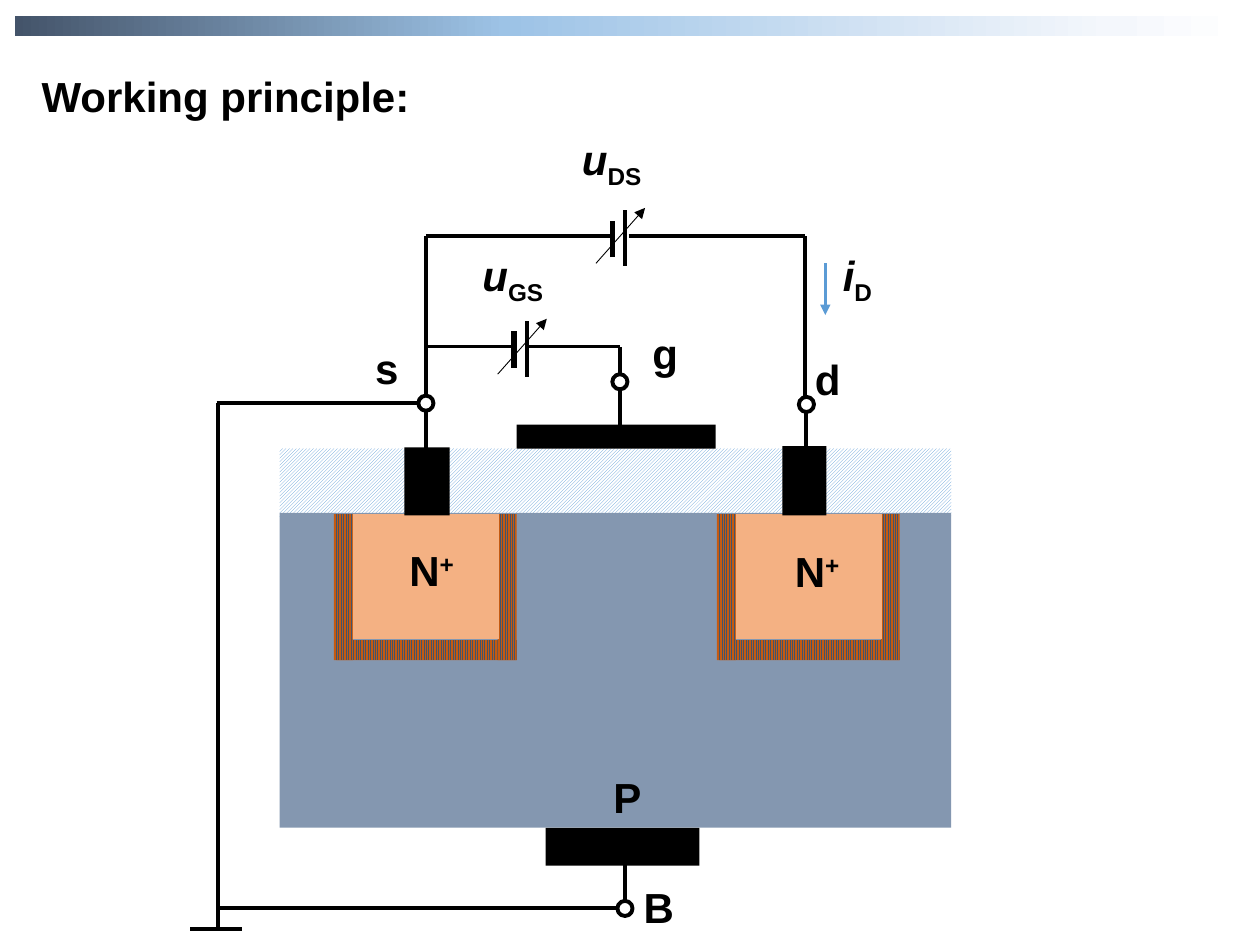
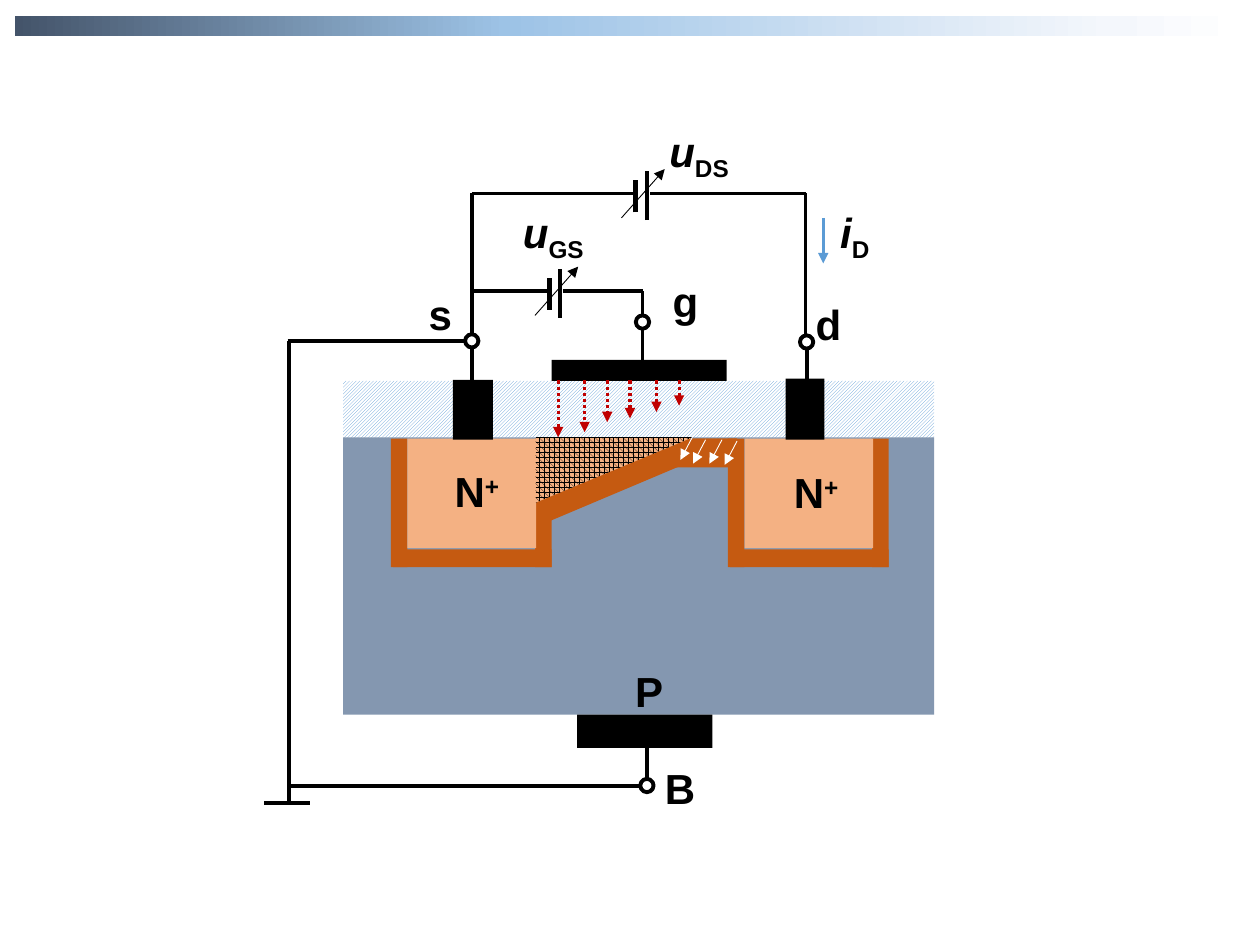
from collections import namedtuple

from lxml import etree
from pptx import Presentation
from pptx import util as u
from pptx.dml.color import RGBColor
from pptx.enum import dml, shapes, text
from pptx.oxml.ns import qn

Inches = u.Inches
BLACK = RGBColor(0x00, 0x00, 0x00)
WHITE = RGBColor(0xFF, 0xFF, 0xFF)
SLATE = RGBColor(0x44, 0x54, 0x6A)
SUBSTRATE = RGBColor(0x84, 0x97, 0xB0)
BLUE = RGBColor(0x5B, 0x9B, 0xD5)
DEPLETION = RGBColor(0xC5, 0x5A, 0x11)
N_WELL = RGBColor(0xF4, 0xB1, 0x83)
FIELD_RED = RGBColor(0xC0, 0x00, 0x00)
BAND_STOPS = [(0, SLATE), (40, RGBColor(0x9D, 0xC3, 0xE6)),
              (89, RGBColor(0xF4, 0xF7, 0xFC)), (100, WHITE)]
FONT = "Arial"

RECT = shapes.MSO_SHAPE.RECTANGLE
CIRCLE = shapes.MSO_SHAPE.OVAL
TRIANGLE = shapes.MSO_SHAPE.RIGHT_TRIANGLE

# Pattern fills: pattern, foreground, background
OXIDE = (dml.MSO_PATTERN.LIGHT_UPWARD_DIAGONAL, BLUE, WHITE)
STRIPED_DEPLETION = (dml.MSO_PATTERN.LIGHT_VERTICAL, SLATE, DEPLETION)
CHANNEL = (dml.MSO_PATTERN.SPHERE, BLACK, N_WELL)

# A frame scales and shifts drawing coordinates onto the slide
Frame = namedtuple("Frame", "scale dx dy")
PAGE = Frame(1, 0, 0)
SMALLER = Frame(0.88, 0.77, -0.11)


def block(slide, frame, kind, box, fill, outline=None):
    """Add a filled shape; a tuple as fill means a pattern."""
    x, y, w, h = box
    shape = slide.shapes.add_shape(
        kind, Inches(frame.scale * x + frame.dx), Inches(frame.scale * y + frame.dy),
        Inches(frame.scale * w), Inches(frame.scale * h))
    shape.shadow.inherit = False
    if isinstance(fill, tuple) and not isinstance(fill, RGBColor):
        shape.fill.patterned()
        shape.fill.pattern = fill[0]
        shape.fill.fore_color.rgb, shape.fill.back_color.rgb = fill[1:]
    else:
        shape.fill.solid()
        shape.fill.fore_color.rgb = fill
    if outline:
        shape.line.color.rgb = BLACK
        shape.line.width = u.Pt(outline)
    else:
        shape.line.fill.background()
    return shape


def wire(slide, frame, ends, width=2.25, color=BLACK, arrow=False, dotted=False):
    """Add a straight line, optionally dotted or with an arrowhead at its end."""
    x1, y1, x2, y2 = ends
    line = slide.shapes.add_connector(
        shapes.MSO_CONNECTOR.STRAIGHT,
        Inches(frame.scale * x1 + frame.dx), Inches(frame.scale * y1 + frame.dy),
        Inches(frame.scale * x2 + frame.dx), Inches(frame.scale * y2 + frame.dy))
    line.line.color.rgb = color
    line.line.width = u.Pt(width)
    if dotted:
        line.line.dash_style = dml.MSO_LINE.ROUND_DOT
    properties = line._element.spPr
    if arrow:
        etree.SubElement(properties.find(qn("a:ln")), qn("a:tailEnd"), type="triangle")
    etree.SubElement(properties, qn("a:effectLst"))


prs = Presentation()
prs.slide_width, prs.slide_height = Inches(10), Inches(7.5)
title_slide = prs.slides.add_slide(prs.slide_layouts[5])
channel_slide = prs.slides.add_slide(prs.slide_layouts[6])

title = title_slide.shapes.title
title.left, title.top = Inches(0.07), Inches(0.51)
title.width, title.height = Inches(3.44), Inches(0.5)
title.text_frame.text = "Working principle:"
title.text_frame.auto_size = text.MSO_AUTO_SIZE.NONE
title.text_frame.vertical_anchor = text.MSO_ANCHOR.TOP
heading = title.text_frame.paragraphs[0]
heading.alignment = text.PP_ALIGN.CENTER
heading.font.name, heading.font.size, heading.font.bold = FONT, u.Pt(24), True
heading.font.color.rgb = BLACK

CONTACTS = [(4.33, 6.57, 1.22, 0.3), (3.21, 3.55, 0.36, 0.54),
            (4.1, 3.37, 1.58, 0.19), (6.21, 3.54, 0.35, 0.55)]
LEADS = [(4.92, 3.4, 4.92, 3.09), (6.4, 3.6, 6.4, 3.25),
         (4.96, 7.17, 4.96, 6.74), (3.38, 3.6, 3.38, 3.24)]
TERMINALS = [(4.86, 2.97), (6.34, 3.15), (4.9, 7.15), (3.32, 3.14)]
CIRCUIT = [
    # source to bulk and ground
    (1.72, 3.2, 3.31, 3.2), (1.72, 7.21, 4.9, 7.21),
    (1.73, 7.37, 1.73, 3.2), (1.51, 7.37, 1.92, 7.37),
    # gate loop
    (3.38, 2.75, 4.08, 2.75), (4.2, 2.75, 4.92, 2.75), (4.92, 2.97, 4.92, 2.75),
    # drain loop
    (3.38, 3.14, 3.38, 1.87), (6.39, 3.15, 6.39, 1.87),
    (3.38, 1.87, 4.86, 1.87), (4.99, 1.87, 6.39, 1.87)]
BATTERIES = [(4.08, 2.75), (4.86, 1.87)]
WELLS = [2.67, 5.71]
# Label: left, top, width, height, main text, suffix, suffix baseline
LABELS = [
    (2.88, 2.67, 0.57, 0.49, "s", "", 0),
    (5.08, 2.55, 0.57, 0.49, "g", "", 0),
    (6.37, 2.76, 0.57, 0.49, "d", "", 0),
    (5.01, 6.95, 0.57, 0.49, "B", "", 0),
    (4.6, 6.07, 0.76, 0.49, "P", "", 0),
    (2.95, 4.27, 0.95, 0.54, "N", "+", 30),
    (6.01, 4.28, 0.95, 0.54, "N", "+", 30),
    (3.73, 1.93, 0.85, 0.59, "u", "GS", -25),
    (6.59, 1.93, 0.55, 0.59, "i", "D", -25)]
# The drain voltage label sits differently over the two circuits
DRAIN_VOLTAGE = {PAGE: (4.52, 1.01), SMALLER: (5.05, 1.2)}

for slide, frame, depletion in [(title_slide, PAGE, STRIPED_DEPLETION),
                                (channel_slide, SMALLER, DEPLETION)]:
    band = block(slide, PAGE, RECT, (0.12, 0.13, 9.76, 0.16), SLATE)
    band.fill.gradient()
    band.fill.gradient_angle = 0
    stops = band._element.spPr.find(".//" + qn("a:gsLst"))
    stops.clear()
    for percent, color in BAND_STOPS:
        stop = etree.SubElement(stops, qn("a:gs"), pos=str(percent * 1000))
        etree.SubElement(stop, qn("a:srgbClr"), val=str(color))

    # Transistor body
    block(slide, frame, RECT, (2.22, 3.56, 5.33, 0.54), OXIDE)
    block(slide, frame, RECT, (2.22, 4.07, 5.33, 2.5), SUBSTRATE)
    for left in WELLS:
        block(slide, frame, RECT, (left, 5.08, 1.43, 0.16), depletion)
        for side in (left - 0.02, left + 1.28):
            block(slide, frame, RECT, (side, 4.08, 0.15, 1.16), depletion)
        block(slide, frame, RECT, (left + 0.13, 4.08, 1.16, 0.99), N_WELL)

    # Circuit
    for ends in LEADS:
        wire(slide, frame, ends)
    for box in CONTACTS:
        block(slide, frame, RECT, box, BLACK)
    for ends in CIRCUIT:
        wire(slide, frame, ends)
    for x, y in TERMINALS:
        block(slide, frame, CIRCLE, (x, y, 0.12, 0.12), WHITE, outline=2.25)
    for x, y in BATTERIES:
        wire(slide, frame, (x + 0.1, y + 0.24, x + 0.1, y - 0.2))
        wire(slide, frame, (x, y + 0.17, x, y - 0.12), width=3)
        wire(slide, frame, (x - 0.13, y + 0.22, x + 0.26, y - 0.22), width=0.5, arrow=True)
    wire(slide, frame, (6.55, 2.09, 6.55, 2.5), width=1.75, color=BLUE, arrow=True)

    # Labels
    drain_voltage = (*DRAIN_VOLTAGE[frame], 0.85, 0.59, "u", "DS", -25)
    for x, y, w, h, symbol, suffix, baseline in LABELS + [drain_voltage]:
        label = slide.shapes.add_textbox(
            Inches(frame.scale * x + frame.dx), Inches(frame.scale * y + frame.dy),
            Inches(frame.scale * w), Inches(h))
        label.text_frame.word_wrap = True
        paragraph = label.text_frame.paragraphs[0]
        if symbol in "NP":
            paragraph.alignment = text.PP_ALIGN.CENTER
        paragraph.font.name, paragraph.font.size = FONT, u.Pt(24)
        paragraph.font.bold = True
        paragraph.font.color.rgb = BLACK
        main = paragraph.add_run()
        main.text = symbol
        main.font.italic = symbol in "ui"
        if suffix:
            script = paragraph.add_run()
            script.text = suffix
            script._r.get_or_add_rPr().set("baseline", str(baseline * 1000))

# Gate field, weakening towards the drain
for x, tip in [(4.43, 3.47), (4.64, 3.43), (4.82, 3.35),
               (5, 3.32), (5.21, 3.27), (5.39, 3.22)]:
    wire(channel_slide, PAGE, (x, 3.02, x, tip), 1.75, FIELD_RED, arrow=True, dotted=True)

# Pinched-off channel above its depletion layer
block(channel_slide, PAGE, RECT, (4.34, 3.48, 1.51, 0.23), DEPLETION)
for box, fill in [((4.33, 3.5, 1.54, 0.65), DEPLETION), ((4.25, 3.47, 1.25, 0.52), CHANNEL)]:
    wedge = block(channel_slide, PAGE, TRIANGLE, box, fill)
    wedge._element.spPr.find(qn("a:xfrm")).set("flipV", "1")

# Carriers drifting through the pinched-off region
for x, y in [(5.5, 3.46), (5.6, 3.49), (5.73, 3.49), (5.85, 3.5)]:
    wire(channel_slide, PAGE, (x, y, x - 0.1, y + 0.19), 0.5, WHITE, arrow=True)

prs.save("out.pptx")
